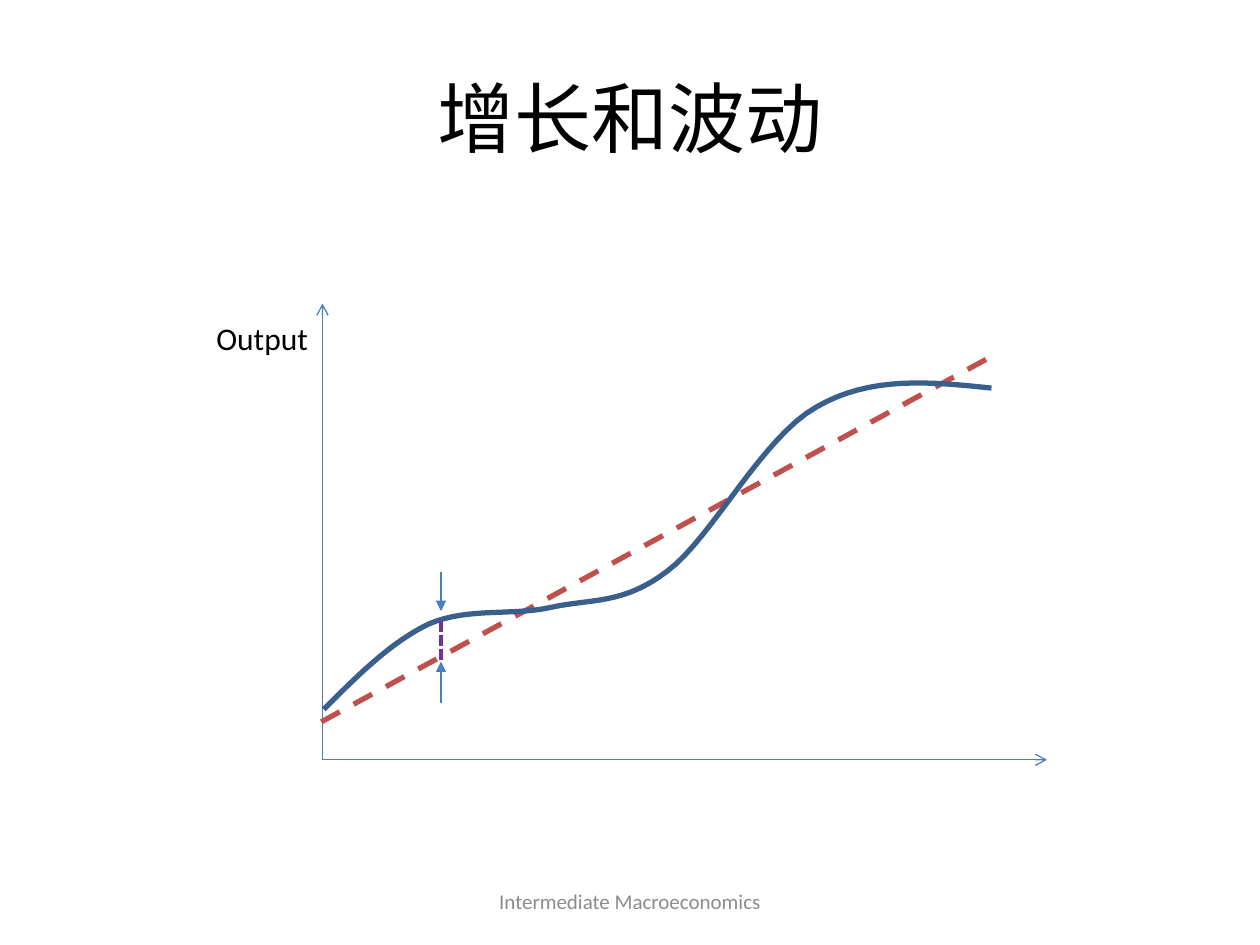
from lxml.etree import SubElement
from pptx import Presentation
from pptx.dml.color import RGBColor
from pptx.enum.dml import MSO_LINE
from pptx.enum.shapes import MSO_CONNECTOR
from pptx.enum.text import MSO_ANCHOR, PP_ALIGN
from pptx.oxml.ns import qn
from pptx.util import Pt

BLACK = RGBColor(0x00, 0x00, 0x00)
GREY = RGBColor(0x8C, 0x8C, 0x8C)
BLUE = RGBColor(0x4B, 0x7E, 0xBC)
NAVY = RGBColor(0x3A, 0x5F, 0x8C)
RED = RGBColor(0xC0, 0x50, 0x4D)
PURPLE = RGBColor(0x70, 0x30, 0xA0)

ORIGIN = (184.3, 434.2)
GAP_X = 252
STEPS = 16
START = (185, 405.4)
BENDS = [
    ((204.5, 385.9), (223.9, 366.5), (245.5, 356.4)),
    ((267.8, 347), (293, 352.1), (315.4, 347)),
    ((338.4, 342), (356.4, 345.6), (381.6, 326.2)),
    ((406.8, 307.4), (435.6, 249.8), (466.6, 232.6)),
    ((497.5, 214.6), (532.1, 218.2), (566.6, 221.8)),
]


def write(shape, text, size, color, align, anchor):
    """Put one styled line of text in a shape."""
    frame = shape.text_frame
    frame.text = text
    frame.word_wrap = True
    frame.vertical_anchor = anchor
    line = frame.paragraphs[0]
    line.alignment = align
    font = line.runs[0].font
    font.name, font.size = "Calibri", Pt(size)
    font.color.rgb = color


def add_title(slide, text):
    """Place and fill the title."""
    title = slide.shapes.title
    title.left, title.top = Pt(36), Pt(21.6)
    title.width, title.height = Pt(648), Pt(90)
    write(title, text, 44, BLACK, PP_ALIGN.CENTER, MSO_ANCHOR.MIDDLE)


def add_label(slide, text, box, size, color, align, anchor):
    """Add a text box at the given left, top, width and height."""
    label = slide.shapes.add_textbox(*map(Pt, box))
    write(label, text, size, color, align, anchor)


def add_line(slide, start, end, color, width, dash=None, head=None):
    """Add a straight line with an optional dash and arrowhead."""
    line = slide.shapes.add_connector(
        MSO_CONNECTOR.STRAIGHT, *map(Pt, (*start, *end)))
    line.line.color.rgb = color
    line.line.width = Pt(width)
    if dash:
        line.line.dash_style = dash
    props = line._element.spPr
    if head:
        SubElement(props.find(qn("a:ln")), qn("a:tailEnd"), type=head)
    SubElement(props, qn("a:effectLst"))


def blend(nodes, t):
    """Return the point at t on a cubic curve."""
    u = 1 - t
    parts = (u ** 3, 3 * u * u * t, 3 * u * t * t, t ** 3)
    return tuple(Pt(sum(k * v for k, v in zip(parts, axis)))
                 for axis in zip(*nodes))


def add_curve(slide, start, bends, color, width):
    """Draw a smooth open path through cubic bends."""
    dots = []
    first = start
    for bend in bends:
        dots += [blend((first, *bend), i / STEPS)
                 for i in range(1, STEPS + 1)]
        first = bend[-1]
    path = slide.shapes.build_freeform(*map(Pt, start))
    path.add_line_segments(dots, close=False)
    curve = path.convert_to_shape()
    curve.shadow.inherit = False
    curve.fill.background()
    curve.line.color.rgb = color
    curve.line.width = Pt(width)


def main():
    """Build the growth and fluctuation slide."""
    deck = Presentation()
    deck.slide_width, deck.slide_height = Pt(720), Pt(540)
    slide = deck.slides.add_slide(deck.slide_layouts[5])
    add_title(slide, "增长和波动")
    add_label(slide, "Intermediate Macroeconomics", (246, 500.5, 228, 28.75),
              12, GREY, PP_ALIGN.CENTER, MSO_ANCHOR.MIDDLE)
    for tip in ((598.3, ORIGIN[1]), (ORIGIN[0], 173.5)):
        add_line(slide, ORIGIN, tip, BLUE, 0.75, head="arrow")
    add_line(slide, (183.6, 412.5), (563.8, 205.2), RED, 3, MSO_LINE.DASH)
    add_label(slide, "Output", (116.6, 178.6, 134.6, 28.8),
              18, BLACK, PP_ALIGN.LEFT, MSO_ANCHOR.TOP)
    add_curve(slide, START, BENDS, NAVY, 3)
    add_line(slide, (GAP_X, 355), (GAP_X, 378), PURPLE, 2,
             MSO_LINE.SQUARE_DOT)
    for tail, tip in ((326.9, 349.2), (401.8, 378)):
        add_line(slide, (GAP_X, tail), (GAP_X, tip), BLUE, 0.75,
                 head="triangle")
    deck.save("out.pptx")


if __name__ == "__main__":
    main()
